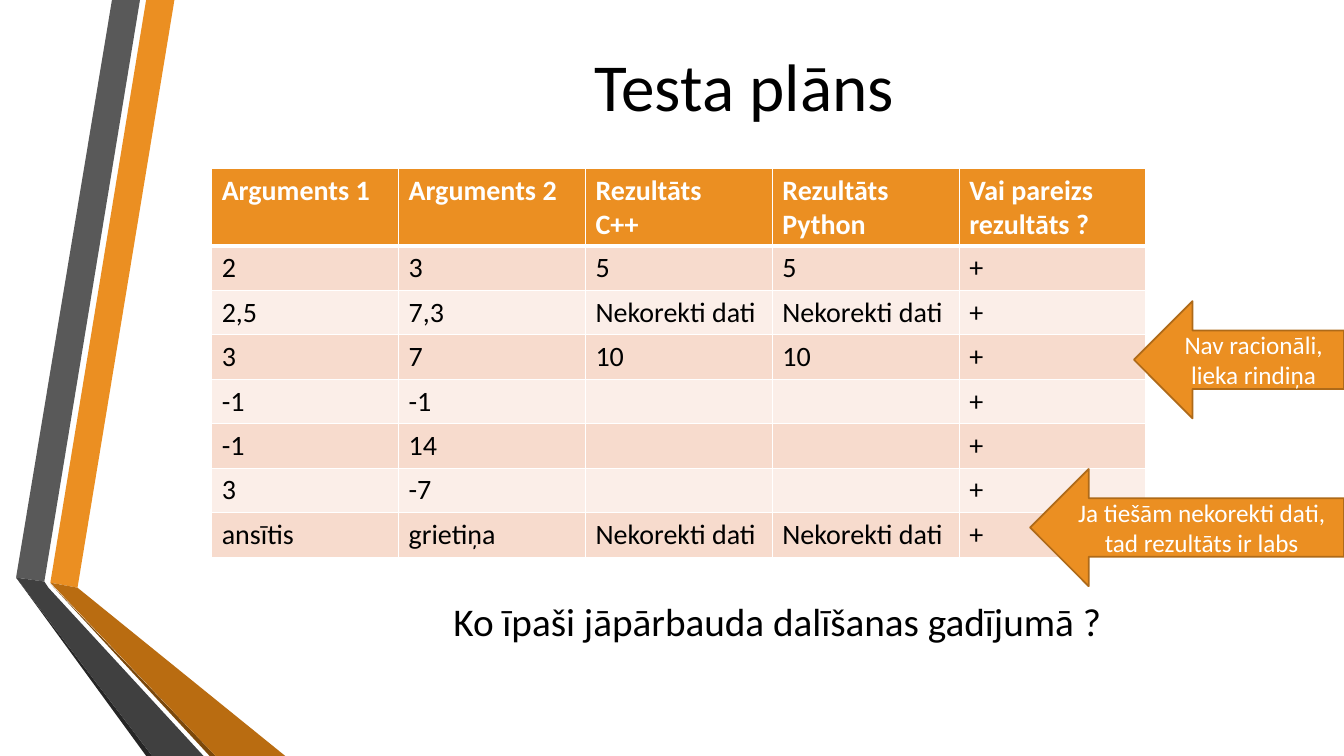
from lxml import etree
from pptx import Presentation
from pptx.dml.color import RGBColor
from pptx.enum.shapes import MSO_SHAPE
from pptx.enum.text import MSO_ANCHOR, PP_ALIGN
from pptx.oxml.ns import qn
from pptx.util import Pt

LEFT_ARROW = MSO_SHAPE.LEFT_ARROW
MIDDLE = MSO_ANCHOR.MIDDLE
LEFT, CENTER = PP_ALIGN.LEFT, PP_ALIGN.CENTER
FONT = "Calibri"
BLANK_LAYOUT = 6

COLORS = {
    "white": "FFFFFF", "black": "000000", "orange": "EB8F22",
    "arrow_edge": "AE6A19", "band_dark": "F7DBCD", "band_light": "FBEEE8",
    "gray": "595959", "gray_shadow": "262626", "gray_fold": "404040",
    "orange_shadow": "7B480B", "orange_fold": "B96C11",
}

RIBBONS = [
    ("orange", [(36, 416.2), (55.4, 419.8), (124.6, 0), (104.4, 0)]),
    ("gray", [(100, 0), (80, 0), (11.5, 412.6), (31.7, 415.4)]),
    ("gray_shadow", [(11.5, 412.6), (104.4, 540), (108.7, 540)]),
    ("orange_shadow", [(36, 416.9), (149.8, 540), (154.1, 540)]),
    ("orange_fold", [(36, 416.2), (154.1, 540), (203.8, 540), (55.4, 419.8)]),
    ("gray_fold", [(145.4, 540), (34.6, 419.8), (31.7, 415.4), (11.5, 412.6), (108.7, 540)]),
]

HEADER = ["Arguments 1", "Arguments 2", "Rezultāts\nC++", "Rezultāts Python", "Vai pareizs rezultāts ?"]
TESTS = [
    ["2", "3", "5", "5", "+"],
    ["2,5", "7,3", "Nekorekti dati", "Nekorekti dati", "+"],
    ["3", "7", "10", "10", "+"],
    ["-1", "-1", "", "", "+"],
    ["-1", "14", "", "", "+"],
    ["3", "-7", "", "", "+"],
    ["ansītis", "grietiņa", "Nekorekti dati", "Nekorekti dati", "+"],
]


def rgb(name):
    return RGBColor.from_string(COLORS[name])


def write(frame, text, size, color, align=LEFT, bold=False):
    frame.word_wrap = True
    for index, line in enumerate(text.split("\n")):
        para = frame.paragraphs[0] if index == 0 else frame.add_paragraph()
        para.alignment = align
        if line:
            span = para.add_run()
            span.text = line
            span.font.name = FONT
            span.font.size = Pt(size)
            span.font.bold = bold
            span.font.color.rgb = rgb(color)


def add_ribbon(page, color, points):
    corners = [(Pt(x), Pt(y)) for x, y in points]
    builder = page.shapes.build_freeform(*corners[0], scale=1.0)
    builder.add_line_segments(corners[1:], close=True)
    ribbon = builder.convert_to_shape()
    ribbon.shadow.inherit = False
    ribbon.fill.solid()
    ribbon.fill.fore_color.rgb = rgb(color)
    ribbon.line.fill.background()


def add_text(page, left, top, width, height, text, size, align):
    box = page.shapes.add_textbox(Pt(left), Pt(top), Pt(width), Pt(height))
    box.text_frame.vertical_anchor = MIDDLE
    write(box.text_frame, text, size, "black", align)


def add_arrow(page, left, top, width, height, text):
    arrow = page.shapes.add_shape(LEFT_ARROW, Pt(left), Pt(top), Pt(width), Pt(height))
    arrow.shadow.inherit = False
    arrow.fill.solid()
    arrow.fill.fore_color.rgb = rgb("orange")
    arrow.line.color.rgb = rgb("arrow_edge")
    arrow.line.width = Pt(1.25)
    arrow.text_frame.vertical_anchor = MIDDLE
    write(arrow.text_frame, text, 18, "white", CENTER)


def set_borders(cell, top, bottom):
    properties = cell._tc.get_or_add_tcPr()
    for side, width in (("L", 1), ("R", 1), ("T", top), ("B", bottom)):
        edge = etree.SubElement(properties, qn(f"a:ln{side}"), w=str(Pt(width)))
        fill = etree.SubElement(edge, qn("a:solidFill"))
        etree.SubElement(fill, qn("a:srgbClr"), val=COLORS["white"])


def add_test_table(page, left, top, column_width, header_height, row_height):
    rows = [HEADER] + TESTS
    height = header_height + row_height * len(TESTS)
    frame = page.shapes.add_table(
        len(rows), len(HEADER), Pt(left), Pt(top), Pt(column_width * len(HEADER)), Pt(height))
    table = frame.table
    for column in table.columns:
        column.width = Pt(column_width)
    for r, values in enumerate(rows):
        is_header = r == 0
        table.rows[r].height = Pt(header_height if is_header else row_height)
        band = "orange" if is_header else ("band_light", "band_dark")[r % 2]
        for c, value in enumerate(values):
            cell = table.cell(r, c)
            set_borders(cell, 3 if r == 1 else 1, 3 if is_header else 1)
            cell.fill.solid()
            cell.fill.fore_color.rgb = rgb(band)
            write(cell.text_frame, value, 20, "white" if is_header else "black", bold=is_header)


def main():
    deck = Presentation()
    deck.slide_width, deck.slide_height = Pt(960), Pt(540)
    page = deck.slides.add_slide(deck.slide_layouts[BLANK_LAYOUT])
    for color, points in RIBBONS:
        add_ribbon(page, color, points)
    add_text(page, 403.2, 25.9, 257, 68.4, "Testa plāns", 48, CENTER)
    add_test_table(page, 151.2, 120.2, 133.5, 55.4, 31.8)
    add_text(page, 316.8, 419, 487.4, 49, "Ko īpaši jāpārbauda dalīšanas gadījumā ?", 28, LEFT)
    add_arrow(page, 810, 215.1, 150, 83.7, "Nav racionāli, lieka rindiņa")
    add_arrow(page, 735.8, 335, 224.2, 83.7, "Ja tiešām nekorekti dati, tad rezultāts ir labs")
    deck.save("out.pptx")


if __name__ == "__main__":
    main()
